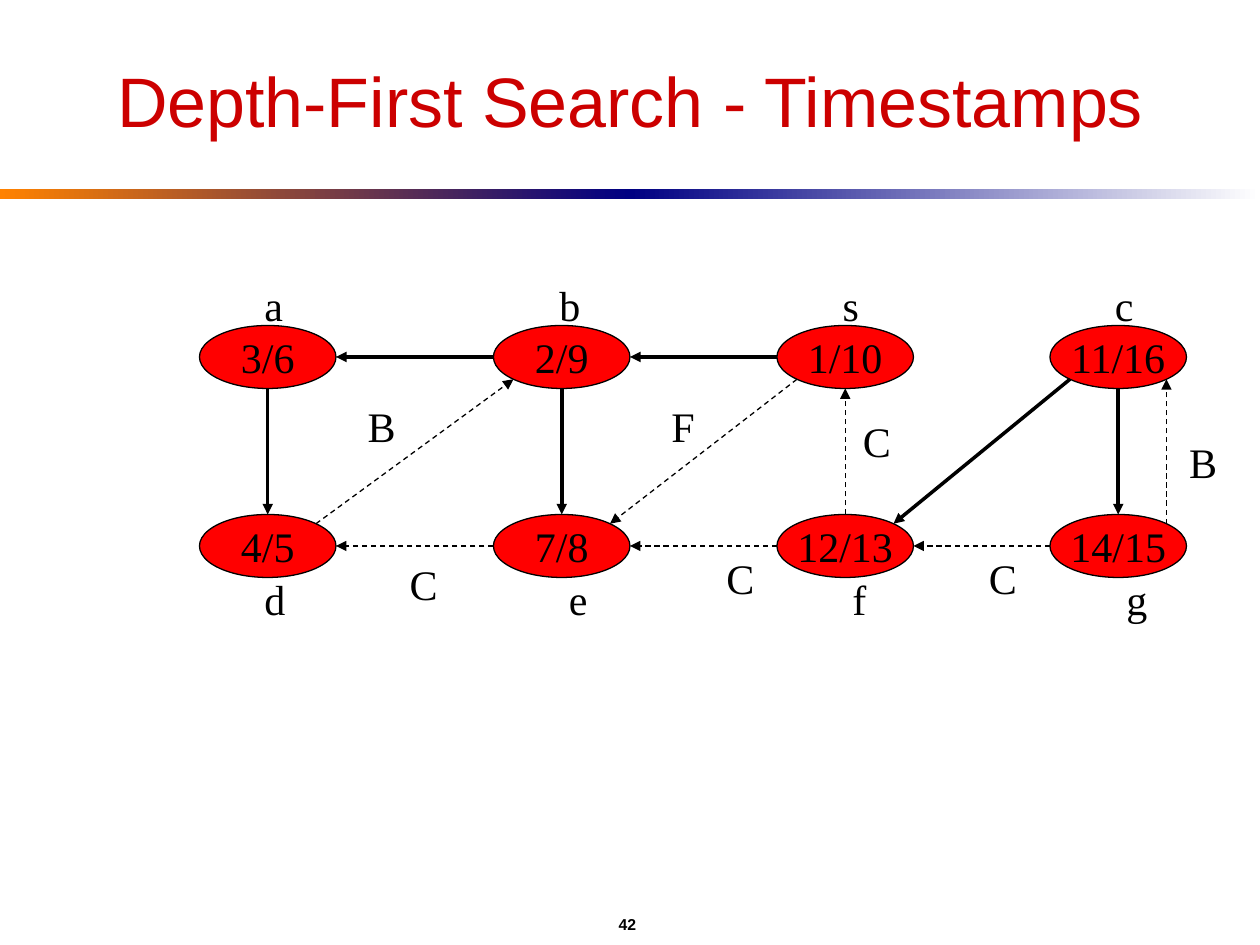
from dataclasses import dataclass
from math import sqrt

from lxml.etree import SubElement
from pptx import Presentation
from pptx.dml.color import RGBColor
from pptx.enum.dml import MSO_LINE_DASH_STYLE as DASH
from pptx.enum.shapes import MSO_CONNECTOR as CONNECTOR, MSO_SHAPE as SHAPE
from pptx.enum.text import MSO_ANCHOR as ANCHOR, MSO_AUTO_SIZE as AUTO_SIZE, PP_ALIGN as ALIGN
from pptx.oxml.ns import qn
from pptx.util import Pt


@dataclass(frozen=True)
class Theme:
    black: RGBColor = RGBColor(0, 0, 0)
    white: RGBColor = RGBColor(0xFF, 0xFF, 0xFF)
    title_red: RGBColor = RGBColor(0xCC, 0, 0)
    node_red: RGBColor = RGBColor(0xFF, 0, 0)
    orange: RGBColor = RGBColor(0xFF, 0x82, 0)
    navy: RGBColor = RGBColor(0, 0, 0x82)
    heading_font: str = "Arial"
    graph_font: str = "Times New Roman"
    title_size: int = 40
    graph_size: int = 24
    number_size: int = 9
    thin: float = 0.75
    thick: float = 2


THEME = Theme()

# Graph layout, in points
COLUMNS = (114, 282, 444, 600)
ROWS = (186, 294)
NODE_WIDTH, NODE_HEIGHT = 78, 36
LABEL_HEIGHT = 36
LABEL_WIDTHS = {"a": 25, "b": 26, "c": 25, "d": 26, "e": 25, "f": 22.5,
                "g": 26, "s": 23.75, "B": 30.5, "C": 30.5, "F": 27.75}

# Name: (column, row, timestamps, label offset from the node's left edge)
VERTICES = {
    "a": (0, 0, "3/6", 30), "b": (1, 0, "2/9", 30.5),
    "s": (2, 0, "1/10", 30.5), "c": (3, 0, "11/16", 30),
    "d": (0, 1, "4/5", 30), "e": (1, 1, "7/8", 36),
    "f": (2, 1, "12/13", 36), "g": (3, 1, "14/15", 36.5),
}

# Directions from the centre of a node to its rim
DIAGONAL = sqrt(0.5)
RIM = {
    "left": (-1, 0), "right": (1, 0), "top": (0, -1), "bottom": (0, 1),
    "top left": (-DIAGONAL, -DIAGONAL), "top right": (DIAGONAL, -DIAGONAL),
    "bottom left": (-DIAGONAL, DIAGONAL), "bottom right": (DIAGONAL, DIAGONAL),
}

TREE_EDGES = (
    ("s", "left", "b", "right"), ("b", "left", "a", "right"),
    ("a", "bottom", "d", "top"), ("b", "bottom", "e", "top"),
    ("c", "bottom", "g", "top"), ("c", "bottom left", "f", "top right"),
)
OTHER_EDGES = (
    ("e", "left", "d", "right"), ("f", "left", "e", "right"),
    ("g", "left", "f", "right"), ("f", "top", "s", "bottom"),
    ("d", "top right", "b", "bottom left"),
    ("s", "bottom left", "e", "top right"),
    ("g", "top right", "c", "bottom right"),
)
# Edge class, left, top
EDGE_LABELS = (
    ("B", 203, 225.5), ("F", 376.5, 225.5), ("C", 486, 234), ("B", 672.5, 246),
    ("C", 227, 315.5), ("C", 408, 312), ("C", 558, 312),
)


def format_text(shape, text, font_name, size, color, align, bold=False):
    shape.text_frame.text = text
    paragraph = shape.text_frame.paragraphs[0]
    paragraph.alignment = align
    font = paragraph.runs[0].font
    font.name, font.size, font.bold = font_name, Pt(size), bold
    font.color.rgb = color


def add_text(slide, text, box, font_name, size, color, bold=False):
    """Add a centred text block."""
    shape = slide.shapes.add_textbox(*map(Pt, box))
    shape.text_frame.word_wrap = True
    shape.text_frame.vertical_anchor = ANCHOR.MIDDLE
    format_text(shape, text, font_name, size, color, ALIGN.CENTER, bold)


def add_label(slide, text, left, top):
    shape = slide.shapes.add_textbox(
        Pt(left), Pt(top), Pt(LABEL_WIDTHS[text]), Pt(LABEL_HEIGHT))
    shape.text_frame.word_wrap = False
    shape.text_frame.auto_size = AUTO_SIZE.SHAPE_TO_FIT_TEXT
    format_text(shape, text, THEME.graph_font, THEME.graph_size, THEME.black, ALIGN.LEFT)


def add_gradient_bar(slide, left, start, end):
    shape = slide.shapes.add_shape(SHAPE.RECTANGLE, Pt(left), Pt(108), Pt(360), Pt(6))
    shape.shadow.inherit = False
    shape.line.fill.background()
    shape.fill.gradient()
    shape.fill.gradient_angle = 0
    for stop, position, color in zip(shape.fill.gradient_stops, (0, 1), (start, end)):
        stop.position = position
        stop.color.rgb = color


def add_vertex(slide, name):
    column, row, timestamps, label_offset = VERTICES[name]
    left, top = COLUMNS[column], ROWS[row]
    shape = slide.shapes.add_shape(
        SHAPE.FLOWCHART_CONNECTOR, Pt(left), Pt(top), Pt(NODE_WIDTH), Pt(NODE_HEIGHT))
    shape.shadow.inherit = False
    shape.fill.solid()
    shape.fill.fore_color.rgb = THEME.node_red
    shape.line.color.rgb = THEME.black
    shape.line.width = Pt(THEME.thin)
    shape.text_frame.word_wrap = False
    shape.text_frame.vertical_anchor = ANCHOR.MIDDLE
    format_text(shape, timestamps, THEME.graph_font, THEME.graph_size,
                THEME.black, ALIGN.CENTER)
    # Names stand above the upper row and below the lower row
    add_label(slide, name, left + label_offset, top + (30 if row else -30))


def rim_point(name, side):
    column, row, *_ = VERTICES[name]
    across, down = RIM[side]
    return (Pt(COLUMNS[column] + NODE_WIDTH / 2 * (1 + across)),
            Pt(ROWS[row] + NODE_HEIGHT / 2 * (1 + down)))


def add_edge(slide, source, source_side, target, target_side, is_tree):
    connector = slide.shapes.add_connector(
        CONNECTOR.STRAIGHT, *rim_point(source, source_side), *rim_point(target, target_side))
    line = connector.line
    line.color.rgb = THEME.black
    line.width = Pt(THEME.thick if is_tree else THEME.thin)
    if not is_tree:
        line.dash_style = DASH.DASH
    properties = connector._element.spPr
    SubElement(properties.find(qn("a:ln")), qn("a:tailEnd"), type="triangle")
    SubElement(properties, qn("a:effectLst"))


def main():
    presentation = Presentation()
    presentation.slide_width, presentation.slide_height = Pt(720), Pt(540)
    slide = presentation.slides.add_slide(presentation.slide_layouts[6])

    # Heading, rule and slide number
    add_gradient_bar(slide, 0, THEME.orange, THEME.navy)
    add_gradient_bar(slide, 360, THEME.navy, THEME.white)
    add_text(slide, "Depth-First Search - Timestamps", (36, 18, 648, 78),
             THEME.heading_font, THEME.title_size, THEME.title_red)
    add_text(slide, "42", (36, 516, 645, 24),
             THEME.heading_font, THEME.number_size, THEME.black, bold=True)

    # Graph
    for name in VERTICES:
        add_vertex(slide, name)
    for edges, is_tree in ((TREE_EDGES, True), (OTHER_EDGES, False)):
        for edge in edges:
            add_edge(slide, *edge, is_tree)
    for edge_label in EDGE_LABELS:
        add_label(slide, *edge_label)

    presentation.save("out.pptx")


if __name__ == "__main__":
    main()
